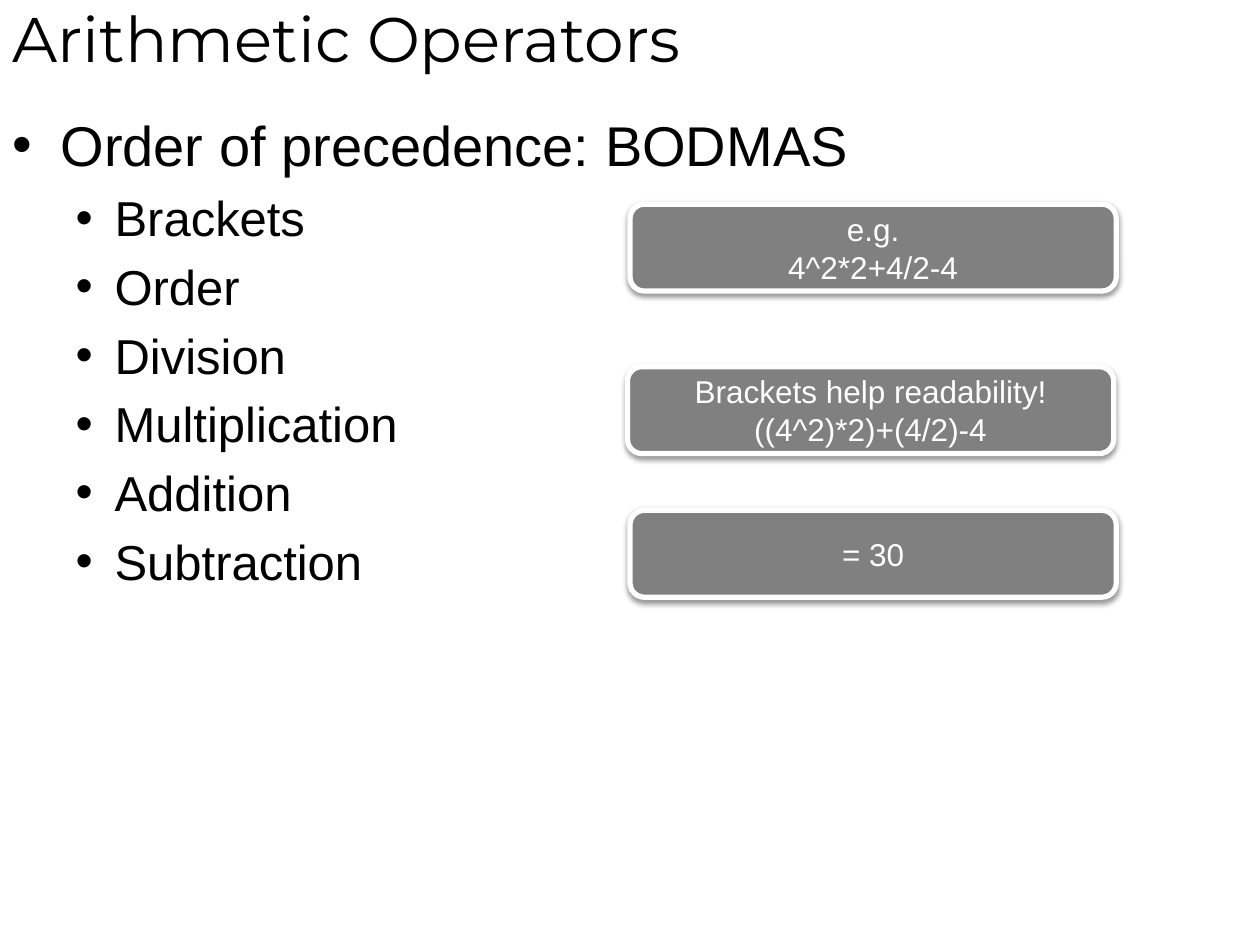
import pptx
import pptx.dml.color
import pptx.enum.shapes
import pptx.enum.text
import pptx.oxml
import pptx.oxml.ns
import pptx.util
from pptx.util import Inches

OPERATIONS = ["Brackets", "Order", "Division", "Multiplication",
              "Addition", "Subtraction"]
EXAMPLES = [
    (5, 1.62, ["e.g.", "4^2*2+4/2-4"]),
    (4.98, 2.91, ["Brackets help readability!", "((4^2)*2)+(4/2)-4"]),
    (5, 4.05, ["= 30"]),
]


def rgb(color):
    return pptx.dml.color.RGBColor.from_string(color)


def place(sp, left, top, width, height):
    sp.left, sp.top = Inches(left), Inches(top)
    sp.width, sp.height = Inches(width), Inches(height)


def add_run(p, text, size, font="Arial", color="000000"):
    r = p.add_run()
    r.text = text
    r.font.size = pptx.util.Pt(size)
    r.font.name = font
    r.font.color.rgb = rgb(color)


def next_paragraph(tf, index):
    return tf.paragraphs[0] if index == 0 else tf.add_paragraph()


def set_bullet(p, margin, indent):
    pPr = p._p.get_or_add_pPr()
    pPr.set("marL", str(Inches(margin)))
    pPr.set("indent", str(Inches(indent)))
    for tag, key, value in (("a:buFont", "typeface", "Arial"),
                            ("a:buChar", "char", "•")):
        bullet = pptx.oxml.parse_xml(
            f'<{tag} {pptx.oxml.ns.nsdecls("a")} {key}="{value}"/>')
        pPr.append(bullet)


def add_shadow(sp):
    sp.shadow.inherit = False
    effects = sp._element.spPr.find(pptx.oxml.ns.qn("a:effectLst"))
    effects.append(pptx.oxml.parse_xml(
        f'<a:outerShdw {pptx.oxml.ns.nsdecls("a")} blurRad="{pptx.util.Pt(3.1)}" '
        f'dist="{pptx.util.Pt(1.6)}" dir="5400000" rotWithShape="0">'
        '<a:srgbClr val="000000"><a:alpha val="38000"/></a:srgbClr>'
        '</a:outerShdw>'))


def fill_title(sp, text):
    place(sp, 0, -0.08, 10, 0.75)
    tf = sp.text_frame
    tf.vertical_anchor = pptx.enum.text.MSO_ANCHOR.MIDDLE
    p = tf.paragraphs[0]
    p.alignment = pptx.enum.text.PP_ALIGN.LEFT
    add_run(p, text, 36, "Montserrat")


def fill_list(sp, heading, items):
    place(sp, 0, 0.83, 10, 6.17)
    for i, text in enumerate([heading] + items):
        p = next_paragraph(sp.text_frame, i)
        if i == 0:
            set_bullet(p, 0.38, -0.38)
            add_run(p, text, 32)
        else:
            p.level = 1
            set_bullet(p, 0.81, -0.31)
            add_run(p, text, 28)


def add_example(s, left, top, lines):
    sp = s.shapes.add_shape(
        pptx.enum.shapes.MSO_SHAPE.ROUNDED_RECTANGLE,
        Inches(left), Inches(top), Inches(3.86), Inches(0.69))
    sp.fill.solid()
    sp.fill.fore_color.rgb = rgb("808080")
    sp.line.color.rgb = rgb("FFFFFF")
    sp.line.width = pptx.util.Pt(3)
    add_shadow(sp)
    tf = sp.text_frame
    tf.word_wrap = True
    tf.vertical_anchor = pptx.enum.text.MSO_ANCHOR.MIDDLE
    for i, line in enumerate(lines):
        p = next_paragraph(tf, i)
        p.alignment = pptx.enum.text.PP_ALIGN.CENTER
        add_run(p, line, 18, color="FFFFFF")


def main():
    prs = pptx.Presentation()
    prs.slide_width, prs.slide_height = Inches(10), Inches(7.5)
    s = prs.slides.add_slide(prs.slide_layouts[1])

    # Title and list of operations
    fill_title(s.shapes.title, "Arithmetic Operators")
    fill_list(s.placeholders[1], "Order of precedence: BODMAS", OPERATIONS)

    # Worked example in three boxes
    for left, top, lines in EXAMPLES:
        add_example(s, left, top, lines)

    prs.save("out.pptx")


if __name__ == "__main__":
    main()
